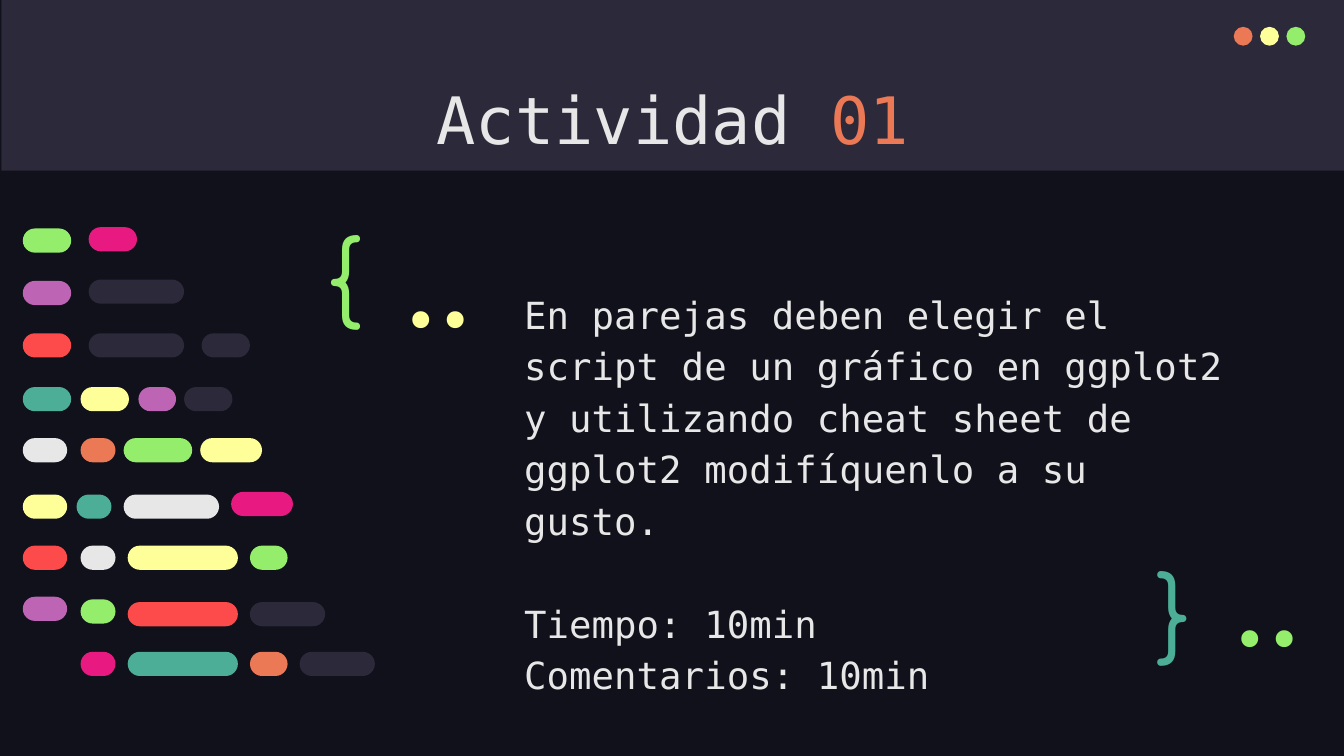
import pptx
import pptx.util
import pptx.dml.color
import pptx.enum.shapes
import pptx.enum.text
from dataclasses import dataclass

Pt = pptx.util.Pt
Form = pptx.enum.shapes.MSO_SHAPE
Align = pptx.enum.text.PP_ALIGN
Anchor = pptx.enum.text.MSO_ANCHOR


@dataclass(frozen=True)
class Theme:
    back: str = "10111A"
    panel: str = "2C293A"
    light: str = "E7E7E7"
    orange: str = "EC7955"
    yellow: str = "FFFF99"
    green: str = "94EE6B"
    pink: str = "E81A81"
    purple: str = "BD64B5"
    red: str = "FD4A4A"
    teal: str = "4CAE97"
    mono: str = "DejaVu Sans Mono"
    round: str = "Comfortaa"
    code: str = "Fira Code"
    head: int = 35
    body: int = 20
    sign: int = 50


class Deck:
    """Style and current slide; lengths are cells of a tenth of an inch."""

    cell = pptx.util.Inches(0.1)

    def __init__(self, theme):
        self.theme = theme
        self.file = pptx.Presentation()
        self.file.slide_width = self.size(100)
        self.file.slide_height = self.size(56.25)
        self.slide = self.file.slides.add_slide(self.file.slide_layouts[0])
        self.paint(self.slide.background.fill, theme.back)

    def size(self, cells):
        return round(cells * self.cell)

    def area(self, *cells):
        return [self.size(c) for c in cells]

    def color(self, code):
        return pptx.dml.color.RGBColor.from_string(code)

    def paint(self, fill, code):
        fill.solid()
        fill.fore_color.rgb = self.color(code)

    def group(self):
        return self.slide.shapes.add_group_shape().shapes

    def shape(self, form, box, code, home=None):
        item = (home or self.slide.shapes).add_shape(form, *self.area(*box))
        item.shadow.inherit = False
        self.paint(item.fill, code)
        item.line.fill.background()
        return item

    def pill(self, box, code, home):
        self.shape(Form.ROUNDED_RECTANGLE, box, code, home).adjustments[0] = 0.5

    def style(self, run, size, face, code):
        run.font.size = Pt(size)
        run.font.name = face
        run.font.color.rgb = self.color(code)

    def frame(self, item, anchor=Anchor.TOP):
        frame = item.text_frame
        frame.word_wrap = True
        frame.auto_size = pptx.enum.text.MSO_AUTO_SIZE.NONE
        frame.vertical_anchor = anchor
        frame.margin_left = frame.margin_right = self.cell
        frame.margin_top = frame.margin_bottom = self.cell
        return frame

    def holder(self, item, box):
        item.left, item.top, item.width, item.height = self.area(*box)
        item.element.getparent().append(item.element)  # bring to front
        return self.frame(item)

    def title(self, box, parts):
        line = self.holder(self.slide.shapes.title, box).paragraphs[0]
        line.alignment = Align.CENTER
        for text, code in parts:
            run = line.add_run()
            run.text = text
            self.style(run, self.theme.head, self.theme.mono, code)

    def body(self, box, lines, gaps):
        frame = self.holder(self.slide.placeholders[1], box)
        frame.text = "\n".join(lines)
        for line, gap in zip(frame.paragraphs, gaps):
            line.alignment = Align.LEFT
            line.line_spacing = 1.15
            line.space_before = Pt(gap)
            self.style(line.runs[0], self.theme.body, self.theme.mono, self.theme.light)

    def sign(self, box, text, face, code, align=Align.LEFT, anchor=Anchor.TOP):
        frame = self.frame(self.slide.shapes.add_textbox(*self.area(*box)), anchor)
        frame.text = text
        frame.paragraphs[0].alignment = align
        self.style(frame.paragraphs[0].runs[0], self.theme.sign, face, code)


def main():
    t = Theme()
    deck = Deck(t)

    # Header band with window dots
    deck.shape(Form.RECTANGLE, (0.1, 0, 100, 12.7), t.panel)
    dots = deck.group()
    for i, code in enumerate((t.orange, t.yellow, t.green)):
        deck.shape(Form.OVAL, (91.8 + 1.96 * i, 2, 1.4, 1.4), code, dots)
    deck.title((7.9, 4.9, 84.3, 6.3), [("Actividad ", t.light), ("01", t.orange)])

    # Code lines: each pill is left, top, width, colour
    rows = [
        [(1.7, 17, 3.6, t.green), (6.6, 16.9, 3.6, t.pink)],
        [(1.7, 20.9, 3.6, t.purple), (6.6, 20.8, 7.1, t.panel)],
        [(1.7, 24.8, 3.6, t.red), (6.6, 24.8, 7.1, t.panel), (15, 24.8, 3.6, t.panel)],
        [(1.7, 28.8, 3.6, t.teal), (6, 28.8, 3.6, t.yellow),
         (10.3, 28.8, 2.8, t.purple), (13.7, 28.8, 3.6, t.panel)],
        [(1.7, 32.6, 3.3, t.light), (6, 32.6, 2.6, t.orange),
         (9.2, 32.6, 5.1, t.green), (14.9, 32.6, 4.6, t.yellow)],
        [(1.7, 36.8, 3.3, t.yellow), (5.7, 36.8, 2.6, t.teal),
         (9.2, 36.8, 7.1, t.light), (17.2, 36.6, 4.6, t.pink)],
        [(1.7, 40.6, 3.3, t.red), (6, 40.6, 2.6, t.light),
         (9.5, 40.6, 8.2, t.yellow), (18.6, 40.6, 2.8, t.green)],
        [(1.7, 44.4, 3.3, t.purple), (6, 44.6, 2.6, t.green),
         (9.5, 44.8, 8.2, t.red), (18.6, 44.8, 5.6, t.panel)],
        [(6, 48.5, 2.6, t.pink), (9.5, 48.5, 8.2, t.teal),
         (18.6, 48.5, 2.8, t.orange), (22.3, 48.5, 5.6, t.panel)],
    ]
    pills = deck.group()
    for row in rows:
        for left, top, width, code in row:
            deck.pill((left, top, width, 1.8), code, pills)

    # Task text, with one line of space before the timings
    deck.body((38, 20.2, 54.3, 11.4), [
        "En parejas deben elegir el script de un gráfico en ggplot2 y utilizando "
        "cheat sheet de ggplot2 modifíquenlo a su gusto.",
        "Tiempo: 10min",
        "Comentarios: 10min",
    ], (0, 27.5, 0))

    # Braces and dots around the task
    deck.sign((23.3, 15, 7.7, 9.5), "{", t.round, t.green)
    deck.sign((85.1, 40, 5.7, 8.3), "}", t.round, t.teal)
    for left, top, code in ((27.2, 18.6, t.yellow), (88.9, 42.3, t.green)):
        deck.sign((left, top, 10.7, 6), "..", t.code, code, Align.RIGHT, Anchor.MIDDLE)

    deck.file.save("out.pptx")


if __name__ == "__main__":
    main()
